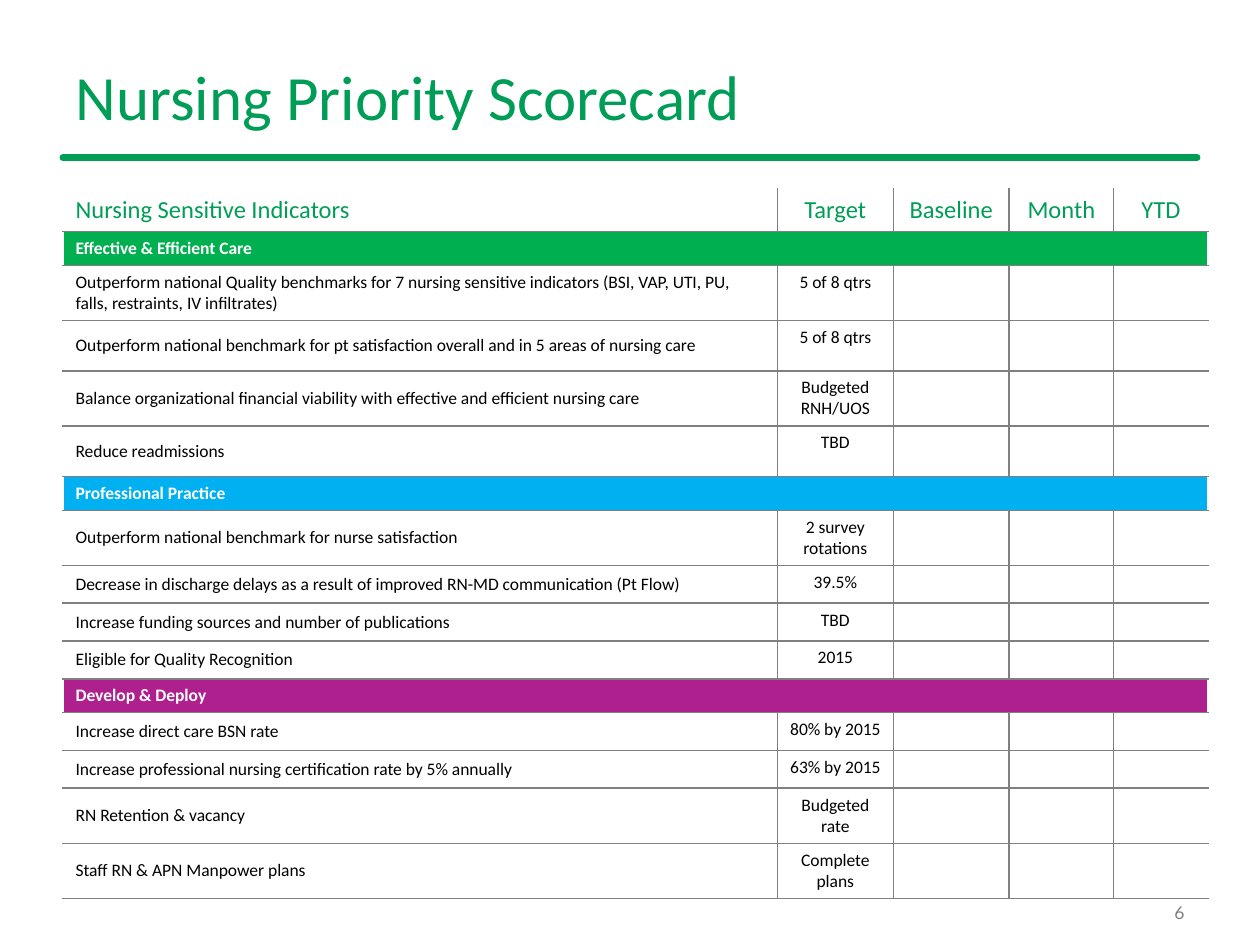
import pptx
import pptx.util
import pptx.dml.color
import pptx.enum.shapes
import pptx.enum.text
import pptx.oxml.ns
from lxml import etree

Inches = pptx.util.Inches
Pt = pptx.util.Pt
ALIGN = pptx.enum.text.PP_ALIGN
ANCHOR = pptx.enum.text.MSO_ANCHOR
qn = pptx.oxml.ns.qn

# Content
TITLE = "Nursing Priority Scorecard"
PAGE_NUMBER = "6"
HEADERS = ["Nursing Sensitive Indicators", "Target", "Baseline", "Month", "YTD"]
# Section: name, colour, height, then (indicator, target, row height)
SECTIONS = [
    ("Effective & Efficient Care", "green", 0.25, [
        ("Outperform national Quality benchmarks for 7 nursing sensitive indicators "
         "(BSI, VAP, UTI, PU, falls, restraints, IV infiltrates)", "5 of 8 qtrs", 0.4),
        ("Outperform national benchmark for pt satisfaction overall and in 5 areas "
         "of nursing care", "5 of 8 qtrs", 0.4),
        ("Balance organizational financial viability with effective and efficient "
         "nursing care", "Budgeted RNH/UOS", 0.4),
        ("Reduce readmissions", "TBD", 0.4),
    ]),
    ("Professional Practice", "blue", 0.22, [
        ("Outperform national benchmark for nurse satisfaction", "2 survey rotations", 0.3),
        ("Decrease in discharge delays as a result of improved RN-MD communication "
         "(Pt Flow)", "39.5%", 0.3),
        ("Increase funding sources and number of publications", "TBD", 0.3),
        ("Eligible for Quality Recognition", "2015", 0.3),
    ]),
    ("Develop & Deploy", "purple", 0.22, [
        ("Increase direct care BSN rate", "80% by 2015", 0.3),
        ("Increase professional nursing certification rate by 5% annually",
         "63% by 2015", 0.3),
        ("RN Retention & vacancy", "Budgeted rate", 0.3),
        ("Staff RN & APN Manpower plans", "Complete plans", 0.3),
    ]),
]
COLORS = {"title": "009D57", "green": "00B050", "blue": "00B0F0", "purple": "AD208E",
          "grid": "808080", "number": "7F7F7F", "white": "FFFFFF", "black": "000000"}
COLUMN_WIDTHS = [5.67, 0.92, 0.92, 0.83, 0.75]
HEADER_HEIGHT = 0.28


def rgb(name):
    return pptx.dml.color.RGBColor.from_string(COLORS[name])


def write_text(frame, text, size=10, color="black", bold=False, font="Calibri",
               align=ALIGN.LEFT):
    paragraph = frame.paragraphs[0]
    paragraph.alignment = align
    if not text:
        paragraph.font.size = Pt(size)
        # An empty cell takes its height from the end-of-paragraph size
        etree.SubElement(paragraph._p, qn("a:endParaRPr"), sz=str(size * 100))
        return
    run = paragraph.add_run()
    run.text = text
    run.font.size, run.font.bold, run.font.name = Pt(size), bold, font
    run.font.color.rgb = rgb(color)


def set_borders(cell, **sides):
    properties = cell._tc.get_or_add_tcPr()
    for side in "LRTB":
        line = etree.SubElement(properties, qn("a:ln" + side), w=str(Pt(1)))
        fill = etree.SubElement(line, qn("a:solidFill"))
        etree.SubElement(fill, qn("a:srgbClr"), val=COLORS[sides.get(side, "grid")])


def fill_row(table, index, texts, height, size=10, color="black", bold=False,
             fill=None, first_anchor=ANCHOR.MIDDLE):
    table.rows[index].height = Inches(height)
    last = len(COLUMN_WIDTHS) - 1
    for column in range(last + 1):
        cell = table.cell(index, column)
        sides = {}
        if column == 0 or fill:
            sides["L"] = "white"
        if column == last or fill:
            sides["R"] = "white"
        if index == 0:
            sides["T"] = "white"
        set_borders(cell, **sides)
        if fill:
            cell.fill.solid()
            cell.fill.fore_color.rgb = rgb(fill)
        else:
            cell.fill.background()
        cell.vertical_anchor = ANCHOR.TOP if column else first_anchor
        text = texts[column] if column < len(texts) else ""
        write_text(cell.text_frame, text, size=size, color=color, bold=bold,
                   align=ALIGN.CENTER if column else ALIGN.LEFT)
    if fill:
        table.cell(index, 0).merge(table.cell(index, last))


presentation = pptx.Presentation()
presentation.slide_width, presentation.slide_height = Inches(10), Inches(7.5)
slide = presentation.slides.add_slide(presentation.slide_layouts[5])

# Title
title = slide.shapes.title
title.left, title.top, title.width, title.height = map(Inches, (0.5, 0.42, 9, 0.67))
title.text_frame.vertical_anchor = ANCHOR.MIDDLE
write_text(title.text_frame, TITLE, size=36, color="title")

# Rule under the title
rule = slide.shapes.add_connector(pptx.enum.shapes.MSO_CONNECTOR.STRAIGHT,
                                  Inches(0.5), Inches(1.25), Inches(9.5), Inches(1.25))
rule.line.color.rgb = rgb("title")
rule.line.width = Pt(4)
rule.line._get_or_add_ln().set("cap", "rnd")
etree.SubElement(rule._element.spPr, qn("a:effectLst"))

# Scorecard table
rows = [dict(texts=HEADERS, height=HEADER_HEIGHT, size=14, color="title",
             first_anchor=ANCHOR.TOP)]
for name, fill, height, indicators in SECTIONS:
    rows.append(dict(texts=[name], height=height, color="white", bold=True, fill=fill))
    rows += [dict(texts=[indicator, target], height=row_height)
             for indicator, target, row_height in indicators]

table = slide.shapes.add_table(
    len(rows), len(COLUMN_WIDTHS), Inches(0.5), Inches(1.5), Inches(sum(COLUMN_WIDTHS)),
    Inches(sum(row["height"] for row in rows))).table
table.first_row = table.horz_banding = False
for column, width in zip(table.columns, COLUMN_WIDTHS):
    column.width = Inches(width)
for index, row in enumerate(rows):
    fill_row(table, index, **row)

# Page number
number = slide.shapes.add_textbox(Inches(9.27), Inches(7.13), Inches(0.23), Inches(0.22))
number.text_frame.word_wrap = False
number.text_frame.margin_left = 0
number.text_frame.vertical_anchor = ANCHOR.MIDDLE
write_text(number.text_frame, PAGE_NUMBER, color="number", font="Lato", align=ALIGN.RIGHT)

presentation.save("out.pptx")
